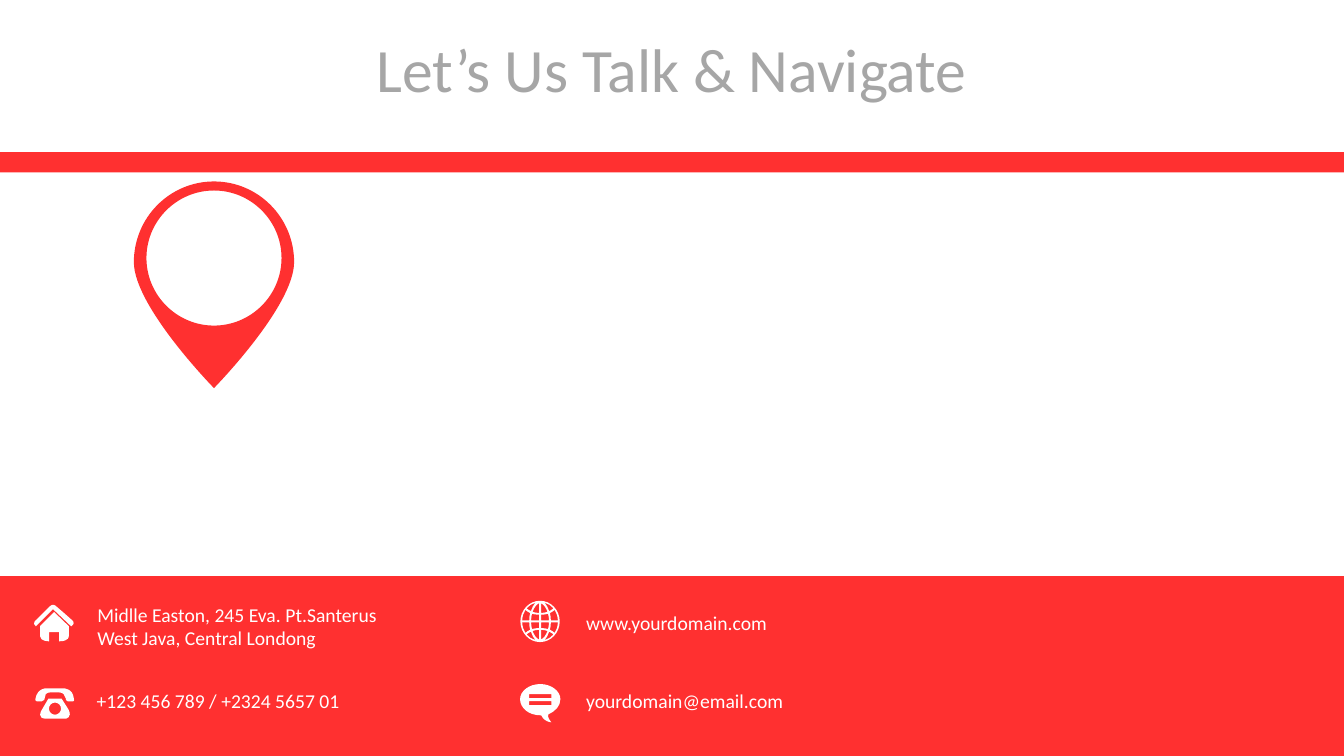
from dataclasses import dataclass
from itertools import product

import pptx
import pptx.dml.color
import pptx.enum.shapes
import pptx.enum.text
import pptx.oxml.ns
import pptx.util
from lxml import etree

Pt = pptx.util.Pt
Color = pptx.dml.color.RGBColor
Align = pptx.enum.text.PP_ALIGN
Preset = pptx.enum.shapes.MSO_SHAPE
qn = pptx.oxml.ns.qn


@dataclass(frozen=True)
class Theme:
    red: Color = Color(0xFF, 0x30, 0x30)
    white: Color = Color(0xFF, 0xFF, 0xFF)
    gray: Color = Color(0xA6, 0xA6, 0xA6)
    font: str = "Calibri"
    title_size: int = 44
    contact_size: int = 14


THEME = Theme()
SLIDE_WIDTH, SLIDE_HEIGHT = 960, 540
OUTLINE_UNIT = 0.72


def pairs(segment):
    return list(zip(segment[::2], segment[1::2]))


def placed(contour, left, top, scale_x, scale_y):
    return [
        tuple(value for x, y in pairs(segment)
              for value in (left + x * scale_x, top + y * scale_y))
        for segment in contour
    ]


def oval(center_x, center_y, radius_x, radius_y):
    k = 0.55
    circle = [(1, 0), (1, k, k, 1, 0, 1), (-k, 1, -1, k, -1, 0),
              (-1, -k, -k, -1, 0, -1), (k, -1, 1, -k, 1, 0)]
    return placed(circle, center_x, center_y, radius_x, radius_y)


def bar(left, top, right, bottom):
    return [(left, top), (left, bottom), (right, bottom), (right, top)]


def globe():
    center_x, center_y = 19.5, 20.5
    quarter_cells = [
        [(1, 1), (8.8, 1), (8.8, 3, 8.6, 5.5, 8, 7.6), (6, 7, 3.5, 6.6, 1, 6.6)],
        [(10.7, 1), (17.7, 1), (17.5, 5, 16.5, 8.5, 14.5, 11.5),
         (13.5, 10.3, 12, 9.3, 9.8, 8.3), (10.4, 6, 10.7, 3.5, 10.7, 1)],
        [(1, 8.4), (3.3, 8.4, 5.5, 8.8, 7.4, 9.5), (6, 13.5, 3.5, 17, 1, 18)],
        [(9, 10.2), (11, 11, 12.3, 12, 13.3, 13),
         (11, 15.7, 8, 17.6, 4.5, 18.6), (6.5, 16.5, 8, 13.5, 9, 10.2)],
    ]
    cells = [placed(cell, center_x, center_y, side, half)
             for cell, side, half in product(quarter_cells, (-1, 1), (-1, 1))]
    return [oval(center_x, center_y, 19.5, 20.5)] + cells


PIN = [
    [(79.5, 0), (35.5, 0, 0, 36, 0, 80), (0, 124, 79.5, 205, 79.5, 205),
     (79.5, 205, 159, 124, 159, 80), (159, 36, 123.5, 0, 79.5, 0)],
    oval(79.5, 76, 67, 67),
]
HANDSET = [
    [(39, 10), (38, 0, 29, 0, 29, 0), (11, 0), (11, 0, 3, 0, 1, 10),
     (0, 13, 3, 13, 3, 13), (7, 13), (10, 13, 10, 10, 10, 10),
     (10, 7, 11, 4, 16, 4), (24, 4), (29, 4, 30, 7, 31, 10),
     (31, 10, 31, 13, 33, 13), (38, 13), (38, 13, 40, 13, 39, 10)],
]
PHONE_BASE = [
    [(32, 11), (27, 3, 25, 0, 25, 0), (12, 0), (5, 12),
     (5, 12, 0, 20, 10, 20), (29, 20), (29, 20, 36, 19, 32, 11)],
    oval(18.5, 10, 6, 6),
]
SPEECH_BUBBLE = [
    [(40, 15), (40, 7, 31, 0, 20, 0), (9, 0, 0, 7, 0, 15),
     (0, 24, 9, 31, 20, 31), (21, 31), (22, 33, 24, 37, 31, 38),
     (30, 36, 27, 34, 28, 30), (35, 27, 40, 22, 40, 15)],
    bar(9, 10, 31, 14),
    bar(9, 17, 31, 21),
]
HOUSE_WALLS = [
    [(28.5, 14), (14, 0), (0, 14), (0, 24), (0, 29, 9, 29, 9, 29),
     (9, 20), (19, 20), (19, 29), (29, 29, 28.5, 24, 28.5, 24)],
]
HOUSE_ROOF = [
    [(39, 18), (36, 15, 22, 3, 22, 3), (22, 3, 19, 0, 16, 3),
     (13, 6, 2, 17, 2, 17), (2, 17, -2, 20, 2, 23), (19, 6), (37, 23),
     (37, 23, 41, 21, 39, 18)],
]


def paint(shape, color):
    shape.shadow.inherit = False
    shape.fill.solid()
    shape.fill.fore_color.rgb = color
    shape.line.fill.background()


def add_preset(slide, preset, left, top, width, height, color):
    shape = slide.shapes.add_shape(preset, Pt(left), Pt(top), Pt(width), Pt(height))
    paint(shape, color)
    return shape


def set_opacity(shape, percent):
    color = shape._element.spPr.find(qn("a:solidFill")).find(qn("a:srgbClr"))
    etree.SubElement(color, qn("a:alpha")).set("val", str(percent * 1000))


def bend_segments(shape, contours):
    lines = iter(list(shape._element.iter(qn("a:lnTo"))))
    for contour in contours:
        for segment in contour[1:]:
            steps = [next(lines) for _ in pairs(segment)]
            if len(steps) == 3:
                curve = etree.Element(qn("a:cubicBezTo"))
                steps[0].addprevious(curve)
                for step in steps:
                    curve.append(step[0])
                    step.getparent().remove(step)


def add_outline(slide, left, top, contours, color):
    builder = None
    for contour in contours:
        segments = placed(contour, left, top, OUTLINE_UNIT, OUTLINE_UNIT)
        start, *points = [(Pt(x), Pt(y)) for segment in segments for x, y in pairs(segment)]
        if builder is None:
            builder = slide.shapes.build_freeform(*start)
        else:
            builder.move_to(*start)
        builder.add_line_segments(points, close=True)
    shape = builder.convert_to_shape()
    bend_segments(shape, contours)
    paint(shape, color)


def write_text(shape, text, size, color, alignment):
    frame = shape.text_frame
    frame.text = text
    frame.vertical_anchor = pptx.enum.text.MSO_ANCHOR.TOP
    for paragraph in frame.paragraphs:
        paragraph.alignment = alignment
        for run in paragraph.runs:
            run.font.name = THEME.font
            run.font.size = Pt(size)
            run.font.color.rgb = color


def add_title(slide, text):
    title = slide.shapes.title
    title.left, title.top, title.width, title.height = Pt(223.2), Pt(18.7), Pt(513.4), Pt(60.5)
    write_text(title, text, THEME.title_size, THEME.gray, Align.CENTER)
    title.text_frame.auto_size = pptx.enum.text.MSO_AUTO_SIZE.NONE


def add_contact(slide, left, top, width, height, text):
    box = slide.shapes.add_textbox(Pt(left), Pt(top), Pt(width), Pt(height))
    box.text_frame.word_wrap = True
    write_text(box, text, THEME.contact_size, THEME.white, Align.LEFT)


def main():
    presentation = pptx.Presentation()
    presentation.slide_width, presentation.slide_height = Pt(SLIDE_WIDTH), Pt(SLIDE_HEIGHT)
    slide = presentation.slides.add_slide(presentation.slide_layouts[5])

    add_preset(slide, Preset.RECTANGLE, 0, 411.6, SLIDE_WIDTH, 128.4, THEME.red)
    pin_glass = add_preset(slide, Preset.OVAL, 103.7, 136.1, 98.6, 98.6, THEME.white)
    set_opacity(pin_glass, 40)
    add_outline(slide, 95.6, 129.6, PIN, THEME.red)
    add_preset(slide, Preset.RECTANGLE, 0, 108.7, SLIDE_WIDTH, 14.4, THEME.red)

    for left, top, contours in [
        (24.7, 491.7, HANDSET),
        (26, 499, PHONE_BASE),
        (371.5, 488.6, SPEECH_BUBBLE),
        (28.6, 437.2, HOUSE_WALLS),
        (24.2, 430.8, HOUSE_ROOF),
        (371.7, 429.1, globe()),
    ]:
        add_outline(slide, left, top, contours, THEME.white)

    for left, top, width, height, text in [
        (62.4, 427, 240, 41, "Midlle Easton, 245 Eva. Pt.Santerus\nWest Java, Central Londong"),
        (62, 488.9, 202.3, 24.5, "+123 456 789 / +2324 5657 01"),
        (411.6, 488.9, 159.1, 24.5, "yourdomain@email.com"),
        (411.6, 432.9, 151.2, 24.5, "www.yourdomain.com"),
    ]:
        add_contact(slide, left, top, width, height, text)

    add_title(slide, "Let’s Us Talk & Navigate")
    presentation.save("out.pptx")


if __name__ == "__main__":
    main()
